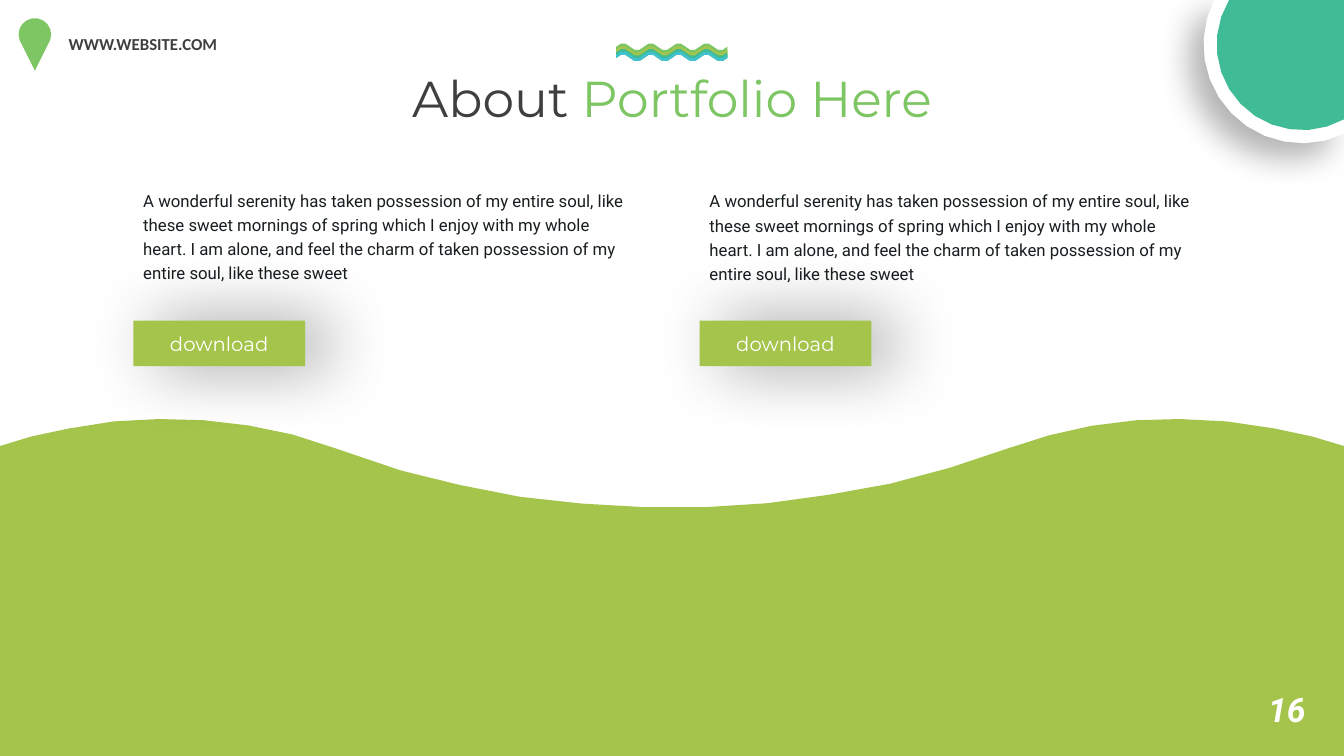
from math import acos, asin, cos, pi, radians, sin

from lxml.etree import SubElement
from pptx import Presentation
from pptx.dml.color import RGBColor as RGB
from pptx.enum.shapes import MSO_SHAPE as SHAPE
from pptx.enum.text import MSO_ANCHOR as ANCHOR, MSO_AUTO_SIZE as AUTO, PP_ALIGN as ALIGN
from pptx.oxml.ns import qn
from pptx.util import Cm, Pt

HUE = {"lime": "A5C44B", "green": "7EC564", "teal": "3FBC96", "cyan": "40C2D2",
       "white": "FFFFFF", "grey": "3F3F3F", "ink": "181E20", "black": "000000"}
WIDE, HIGH = 33.87, 19.05


def paint(shape, hue, shade=None):
    """Fill a shape without outline; shade is (opacity %, blur pt, distance pt, angle)."""
    shape.fill.solid()
    shape.fill.fore_color.rgb = RGB.from_string(HUE[hue])
    shape.line.fill.background()
    shape.shadow.inherit = False
    if shade:
        alpha, blur, dist, turn = shade
        effects = shape._element.spPr.find(qn("a:effectLst"))
        outer = SubElement(effects, qn("a:outerShdw"), blurRad=str(Pt(blur)),
                           dist=str(Pt(dist)), dir=str(turn * 60000),
                           algn="ctr", rotWithShape="0")
        color = SubElement(outer, qn("a:srgbClr"), val=HUE["black"])
        SubElement(color, qn("a:alpha"), val=str(alpha * 1000))


def outline(shapes, points):
    """Build a closed outline from points in centimetres."""
    spots = [(Cm(x), Cm(y)) for x, y in points]
    pen = shapes.build_freeform(*spots[0], scale=1.0)
    pen.add_line_segments(spots[1:], close=True)
    return pen.convert_to_shape()


deck = Presentation()
deck.slide_width, deck.slide_height = Cm(WIDE), Cm(HIGH)
slide = deck.slides.add_slide(deck.slide_layouts[5])
shapes = slide.shapes

# Hill
crest = [(0, 11.24), (0.79, 11), (1.73, 10.8), (2.87, 10.62), (4.01, 10.56),
         (5.13, 10.59), (6.25, 10.72), (7.37, 10.95), (8.46, 11.3), (10.08, 11.85),
         (11.58, 12.22), (13.11, 12.52), (14.66, 12.69), (16.23, 12.78), (17.78, 12.78),
         (19.35, 12.68), (20.88, 12.47), (22.43, 12.19), (23.93, 11.79), (25.4, 11.3),
         (26.44, 10.97), (27.51, 10.73), (28.63, 10.59), (29.72, 10.56), (30.91, 10.62),
         (32.13, 10.8), (33.07, 11), (WIDE, 11.24)]
paint(outline(shapes, crest + [(WIDE, HIGH), (0, HIGH)]), "lime")

# Map pin: a round head that tapers to a tip
head = [radians(a) for a in range(160, 381, 20)]
pin = [(0.88 + 0.41 * cos(a), 0.87 + 0.41 * sin(a)) for a in head]
paint(outline(shapes, pin + [(0.88, 1.78)]), "green")

# Corner disc, cut off by the slide edges
disc = shapes.add_group_shape()
mid_x, mid_y, steps = 32.82, 1.12, 12
for radius, hue, shade in [(2.49, "white", (29, 23, 15, 135)), (2.16, "teal", None)]:
    first = pi + asin(mid_y / radius)
    last = acos((WIDE - mid_x) / radius)
    turns = [first + (last - first) * i / steps for i in range(steps + 1)]
    rim = [(mid_x + radius * cos(a), mid_y + radius * sin(a)) for a in turns]
    paint(outline(disc.shapes, rim + [(WIDE, 0)]), hue, shade)

# Ribbon: four bands over one shared lower edge
ribbon = shapes.add_group_shape()
start, period, swell, base = 15.53, 0.7, 0.09, 1.46
wave = [(start + period * i / 6, -swell * sin(2 * pi * i / 6)) for i in range(25)]
for i, hue in enumerate(["green", "lime", "teal", "cyan"]):
    top = [(x, 1.18 + 0.07 * i + y) for x, y in wave]
    low = [(x, base + y) for x, y in reversed(wave)]
    paint(outline(ribbon.shapes, top + low), hue)

# Title in two colours
title = shapes.title
title.left, title.top, title.width, title.height = Cm(9.58), Cm(1.57), Cm(14.71), Cm(1.8)
frame = title.text_frame
frame.word_wrap = False
frame.auto_size = AUTO.SHAPE_TO_FIT_TEXT
frame.vertical_anchor = ANCHOR.TOP
line = frame.paragraphs[0]
line.alignment = ALIGN.CENTER
for words, hue in [("About ", "grey"), ("Portfolio Here", "green")]:
    run = line.add_run()
    run.text = words
    run.font.name, run.font.size = "Montserrat", Pt(36)
    run.font.color.rgb = RGB.from_string(HUE[hue])

# Texts: place, words, size, font, hue, bold, italic, line spacing, wrap
story = ("A wonderful serenity has taken possession of my entire soul, like these sweet "
         "mornings of spring which I enjoy with my whole heart. I am alone, and feel the "
         "charm of taken possession of my entire soul, like these sweet")
columns = [(3.36, 4.57), (17.63, 4.59)]
texts = [((31.71, 17.23, 1.5, 1.27), "16", 24, "Roboto", "white", True, True, 1, False),
         ((1.48, 0.72, 6.43, 0.77), "WWW.WEBSITE.COM", 12, "Calibri", "grey",
          True, False, 1, True)]
texts += [((x, y, 12.88, 2.67), story, 12, "Roboto", "ink", False, False, 1.2, True)
          for x, y in columns]
for place, words, size, face, hue, bold, slant, gap, wrap in texts:
    frame = shapes.add_textbox(*[Cm(n) for n in place]).text_frame
    frame.text = words
    frame.word_wrap = wrap
    frame.auto_size = AUTO.SHAPE_TO_FIT_TEXT
    line = frame.paragraphs[0]
    line.line_spacing = gap
    font = line.runs[0].font
    font.name, font.size, font.bold, font.italic = face, Pt(size), bold, slant
    font.color.rgb = RGB.from_string(HUE[hue])

# Download buttons
for x, y in columns:
    button = shapes.add_shape(SHAPE.RECTANGLE, Cm(x), Cm(8.08), Cm(4.33), Cm(1.15))
    paint(button, "lime", (40, 50, 16, 0))
    frame = button.text_frame
    frame.text = "download"
    frame.vertical_anchor = ANCHOR.MIDDLE
    line = frame.paragraphs[0]
    line.alignment = ALIGN.CENTER
    font = line.runs[0].font
    font.name, font.size = "Montserrat", Pt(14)
    font.color.rgb = RGB.from_string(HUE["white"])

deck.save("out.pptx")
